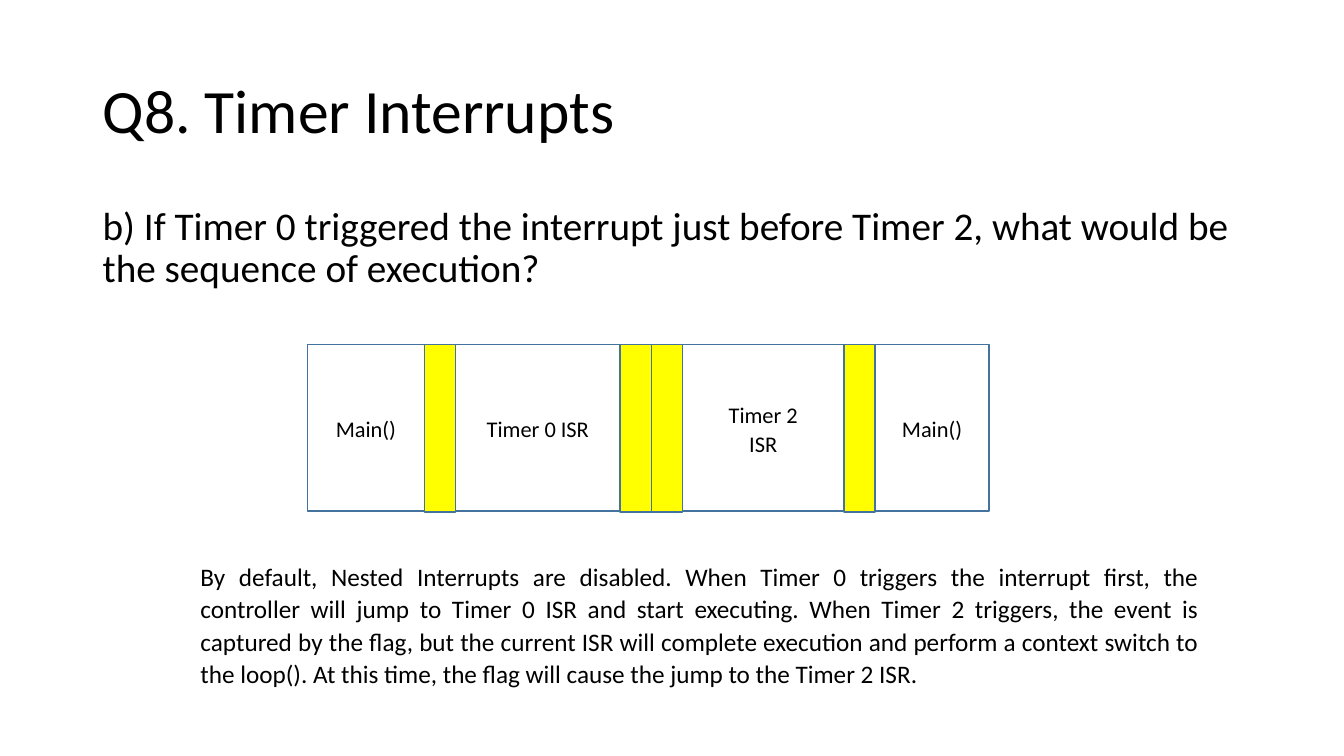
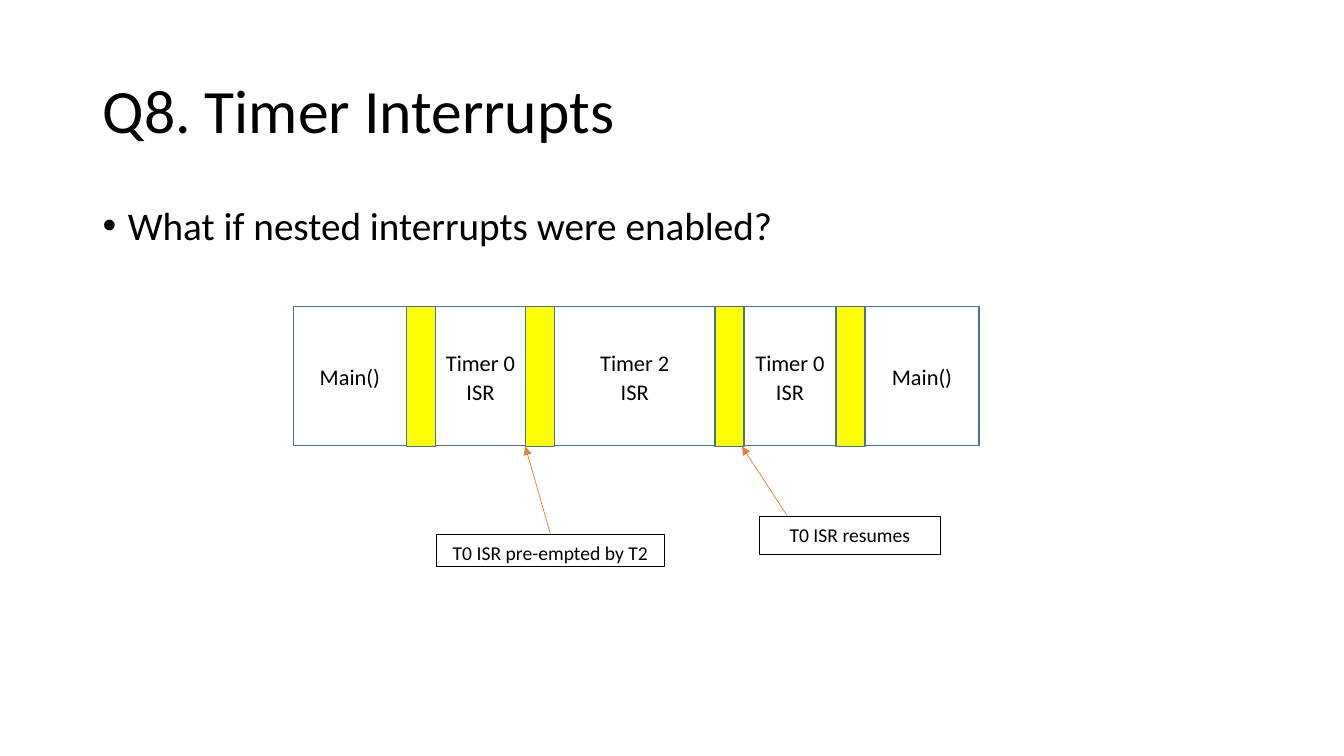
from lxml import etree
from pptx import Presentation
from pptx.dml.color import RGBColor
from pptx.enum.shapes import MSO_CONNECTOR, MSO_SHAPE
from pptx.enum.text import MSO_ANCHOR, PP_ALIGN
from pptx.oxml.ns import qn
from pptx.util import Inches, Pt

RECT = MSO_SHAPE.RECTANGLE
LINE = MSO_CONNECTOR.STRAIGHT
TOP, MIDDLE = MSO_ANCHOR.TOP, MSO_ANCHOR.MIDDLE
LEFT, CENTER, JUSTIFY = PP_ALIGN.LEFT, PP_ALIGN.CENTER, PP_ALIGN.JUSTIFY

BLACK = RGBColor(0x00, 0x00, 0x00)
WHITE = RGBColor(0xFF, 0xFF, 0xFF)
BLUE = RGBColor(0x43, 0x73, 0x9E)
YELLOW = RGBColor(0xFF, 0xFF, 0x00)
ORANGE = RGBColor(0xED, 0x7D, 0x31)
FONT = "Calibri"
TITLE = "Q8. Timer Interrupts"
SWITCH = None

SLIDES = [
    {
        "ask": "b) If Timer 0 triggered the interrupt just before Timer 2, "
               "what would be the sequence of execution?",
        "bullet": False,
        "height": 1.28,
        "track": (3.05, 3.42, 1.65, 0.31),
        "steps": [("Main()", 1.16), SWITCH, ("Timer 0 ISR", 1.63), SWITCH, SWITCH,
                  ("Timer 2\vISR", 1.6), SWITCH, ("Main()", 1.13)],
        "answer": "By default, Nested Interrupts are disabled. When Timer 0 triggers the "
                  "interrupt first, the controller will jump to Timer 0 ISR and start "
                  "executing. When Timer 2 triggers, the event is captured by the flag, but "
                  "the current ISR will complete execution and perform a context switch to "
                  "the loop(). At this time, the flag will cause the jump to the Timer 2 ISR.",
        "notes": [],
    },
    {
        "ask": "What if nested interrupts were enabled?",
        "bullet": True,
        "height": 0.61,
        "track": (2.91, 3.04, 1.38, 0.29),
        "steps": [("Main()", 1.12), SWITCH, ("Timer 0 ISR", 0.89), SWITCH,
                  ("Timer 2\vISR", 1.59), SWITCH, ("Timer 0 ISR", 0.91), SWITCH,
                  ("Main()", 1.13)],
        "answer": None,
        "notes": [("T0 ISR pre-empted by T2", (4.33, 5.3, 2.26, 0.32), 5.46, 5.21),
                  ("T0 ISR resumes", (7.53, 5.12, 1.8, 0.38), 7.81, 7.36)],
    },
]


def inches(*sizes):
    return [Inches(size) for size in sizes]


def write(shape, text, size, align=LEFT, anchor=TOP, lead=1.07, before=0, after=8):
    frame = shape.text_frame
    frame.word_wrap = True
    frame.vertical_anchor = anchor
    para = frame.paragraphs[0]
    para.text = text
    para.alignment = align
    para.line_spacing = lead
    para.space_before, para.space_after = Pt(before), Pt(after)
    para.font.name = FONT
    para.font.size = Pt(size)
    para.font.color.rgb = BLACK
    return para


def indent(para, left, first, mark=None):
    props = para._p.get_or_add_pPr()
    props.set("marL", str(Inches(left)))
    props.set("indent", str(Inches(first)))
    if mark:
        etree.SubElement(props, qn("a:buFont")).set("typeface", "Arial")
        etree.SubElement(props, qn("a:buChar")).set("char", mark)


def add_box(shapes, place, fill, color, width):
    box = shapes.add_shape(RECT, *inches(*place))
    box.shadow.inherit = False
    if fill is None:
        box.fill.background()
    else:
        box.fill.solid()
        box.fill.fore_color.rgb = fill
    box.line.color.rgb = color
    box.line.width = Pt(width)
    return box


def add_track(slide, track, steps):
    left, top, height, gap = track
    blocks, bars = [], []
    for step in steps:
        if step is SWITCH:
            bars.append(left)
            left += gap
        else:
            label, width = step
            blocks.append((label, left, width))
            left += width
    group = slide.shapes.add_group_shape().shapes
    for label, x, width in blocks:
        box = add_box(group, (x, top, width, height), None, BLUE, 1)
        write(box, label, 16, CENTER, MIDDLE)
        box.text_frame.margin_left = box.text_frame.margin_right = Inches(0.05)
    for x in bars:
        add_box(group, (x, top, gap, height + 0.01), YELLOW, BLUE, 1)
    return top + height + 0.01


def add_note(slide, text, place, start, tip, base):
    box = add_box(slide.shapes, place, WHITE, BLACK, 0.75)
    write(box, text, 14, CENTER)
    left, top, width, _ = place
    arrow = slide.shapes.add_connector(LINE, *inches(start, top, tip, base))
    if abs(start - left - width / 2) < 0.01:
        arrow.begin_connect(box, 0)
    arrow.line.color.rgb = ORANGE
    arrow.line.width = Pt(0.5)
    etree.SubElement(arrow.line._get_or_add_ln(), qn("a:tailEnd")).set("type", "triangle")
    etree.SubElement(arrow._element.spPr, qn("a:effectLst"))


def add_slide(deck, data):
    slide = deck.slides.add_slide(deck.slide_layouts[5])
    title = slide.shapes.title
    title.left, title.top, title.width, title.height = inches(0.92, 0.4, 11.5, 1.45)
    write(title, TITLE, 44, anchor=MIDDLE, lead=0.9, after=0)

    ask = slide.shapes.add_textbox(*inches(0.92, 2, 11.5, data["height"]))
    para = write(ask, data["ask"], 28, lead=0.9, before=10, after=0)
    if data["bullet"]:
        indent(para, 0.25, -0.25, "•")

    base = add_track(slide, data["track"], data["steps"])
    if data["answer"]:
        answer = slide.shapes.add_textbox(*inches(1.39, 5.5, 10.6, 1.4))
        indent(write(answer, data["answer"], 18, JUSTIFY), 0.5, 0)
    for note in data["notes"]:
        add_note(slide, *note, base)


def main():
    deck = Presentation()
    deck.slide_width, deck.slide_height = inches(13.33, 7.5)
    for data in SLIDES:
        add_slide(deck, data)
    deck.save("out.pptx")


if __name__ == "__main__":
    main()
